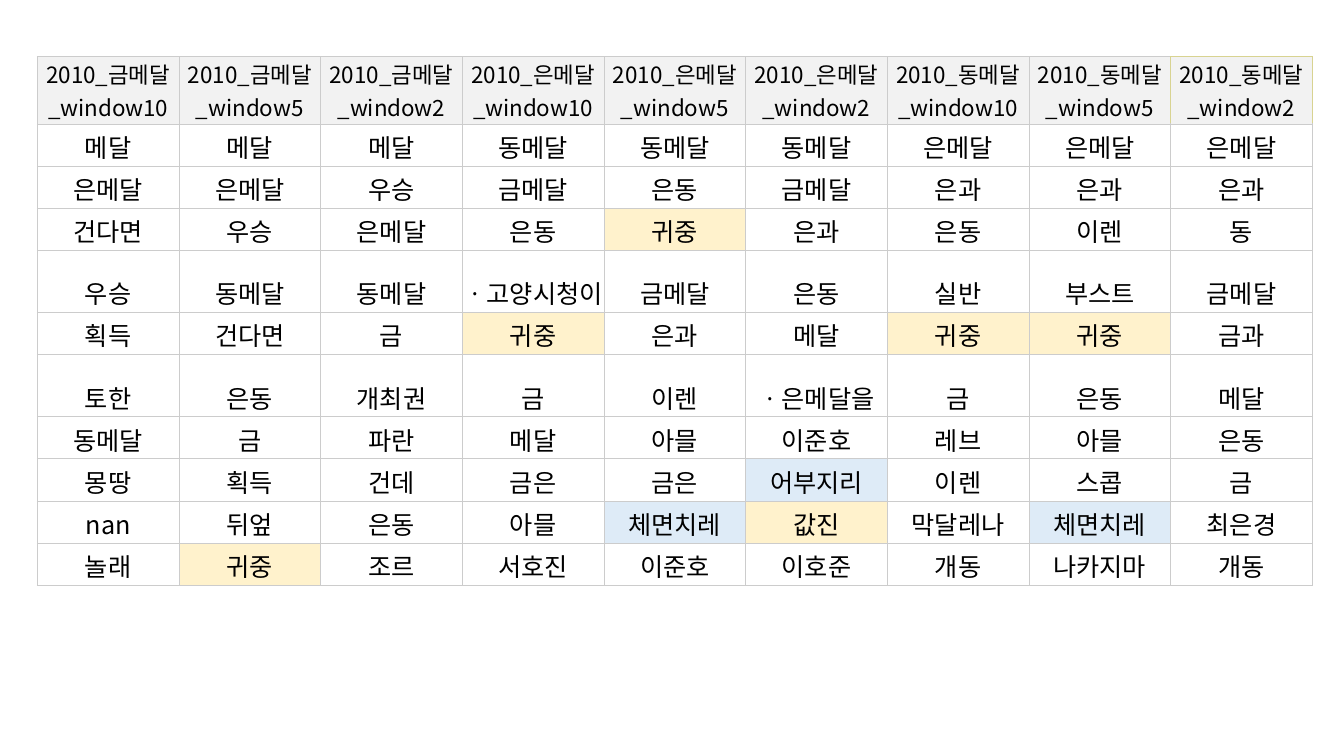
"""Build the slide comparing words related to each 2010 medal by window size."""
from dataclasses import dataclass
from itertools import product

from lxml.etree import SubElement
from pptx import Presentation
from pptx.dml.color import RGBColor
from pptx.enum.text import MSO_ANCHOR, PP_ALIGN
from pptx.oxml.ns import qn
from pptx.table import _Cell
from pptx.util import Cm, Pt

FONT = "Noto Sans CJK KR"
BLACK = RGBColor(0x00, 0x00, 0x00)
GREY = RGBColor(0xCC, 0xCC, 0xCC)
GOLD = RGBColor(0xD8, 0xD3, 0x91)
HEADER_FILL = RGBColor(0xF2, 0xF2, 0xF2)
CREAM = RGBColor(0xFF, 0xF2, 0xCC)
PALE_BLUE = RGBColor(0xDE, 0xEB, 0xF7)

MEDALS = ("금메달", "은메달", "동메달")
WINDOWS = (10, 5, 2)
HIGHLIGHTS = {"귀중": CREAM, "값진": CREAM, "어부지리": PALE_BLUE, "체면치레": PALE_BLUE}
RELATED_WORDS = (
    "메달 메달 메달 동메달 동메달 동메달 은메달 은메달 은메달",
    "은메달 은메달 우승 금메달 은동 금메달 은과 은과 은과",
    "건다면 우승 은메달 은동 귀중 은과 은동 이렌 동",
    "우승 동메달 동메달 ㆍ고양시청이 금메달 은동 실반 부스트 금메달",
    "획득 건다면 금 귀중 은과 메달 귀중 귀중 금과",
    "토한 은동 개최권 금 이렌 ㆍ은메달을 금 은동 메달",
    "동메달 금 파란 메달 아믈 이준호 레브 아믈 은동",
    "몽땅 획득 건데 금은 금은 어부지리 이렌 스콥 금",
    "nan 뒤엎 은동 아믈 체면치레 값진 막달레나 체면치레 최은경",
    "놀래 귀중 조르 서호진 이준호 이호준 개동 나카지마 개동",
)
HEADER_HEIGHT, WORD_HEIGHT, TALL_HEIGHT = Cm(1.7), Cm(1.06), Cm(1.57)
COLUMN_WIDTH = Cm(3.57)
INSET = Cm(0.03)


@dataclass(frozen=True)
class Entry:
    """Content and look of one table cell."""
    text: str
    size: int = 18
    fill: RGBColor | None = None
    left: RGBColor = GREY
    right: RGBColor = GREY
    top: RGBColor = GREY
    bottom: RGBColor = GREY


def write(cell: _Cell, text: str, *, size: int, color: RGBColor = BLACK,
          align: PP_ALIGN = PP_ALIGN.CENTER) -> None:
    """Write formatted text into a cell."""
    paragraph = cell.text_frame.paragraphs[0]
    paragraph.alignment = align
    run = paragraph.add_run()
    run.text = text
    run.font.size = Pt(size)
    run.font.color.rgb = color
    run.font.name = FONT
    SubElement(run._r.get_or_add_rPr(), qn("a:ea"), typeface=FONT)


def draw_borders(cell: _Cell, entry: Entry) -> None:
    """Draw the four cell edges ahead of the cell fill."""
    properties = cell._tc.get_or_add_tcPr()
    edges = {"a:lnL": entry.left, "a:lnR": entry.right, "a:lnT": entry.top, "a:lnB": entry.bottom}
    for position, (tag, color) in enumerate(edges.items()):
        edge = SubElement(properties, qn(tag), w=str(Pt(0.5)))
        SubElement(SubElement(edge, qn("a:solidFill")), qn("a:srgbClr"), val=str(color))
        properties.insert(position, edge)


def draw_entry(cell: _Cell, entry: Entry) -> None:
    """Draw one entry in its cell."""
    cell.margin_left = cell.margin_right = cell.margin_top = cell.margin_bottom = INSET
    cell.vertical_anchor = MSO_ANCHOR.BOTTOM
    if entry.fill is None:
        cell.fill.background()
    else:
        cell.fill.solid()
        cell.fill.fore_color.rgb = entry.fill
    draw_borders(cell, entry)
    write(cell, entry.text, size=entry.size)


def header_entry(medal: str, window: int) -> Entry:
    """Describe a heading, with gold edges around the last one."""
    last = (medal, window) == (MEDALS[-1], WINDOWS[-1])
    before_last = (medal, window) == (MEDALS[-1], WINDOWS[-2])
    return Entry(
        f"2010_{medal}_window{window}", size=16, fill=HEADER_FILL,
        left=GOLD if last else GREY,
        right=GOLD if last or before_last else GREY,
        top=GOLD if last else GREY,
    )


def main() -> None:
    """Build and save the presentation."""
    presentation = Presentation()
    presentation.slide_width, presentation.slide_height = Cm(33.87), Cm(19.05)
    slide = presentation.slides.add_slide(presentation.slide_layouts[6])

    entries = [[header_entry(medal, window) for medal, window in product(MEDALS, WINDOWS)]]
    entries += [[Entry(word, fill=HIGHLIGHTS.get(word)) for word in words.split()]
                for words in RELATED_WORDS]
    heights = [HEADER_HEIGHT] + [TALL_HEIGHT if "ㆍ" in words else WORD_HEIGHT
                                 for words in RELATED_WORDS]
    column_count = len(entries[0])
    comparison = slide.shapes.add_table(
        len(entries), column_count, Cm(0.94), Cm(1.42), COLUMN_WIDTH * column_count, sum(heights)
    ).table
    comparison.first_row = comparison.horz_banding = False
    for column in comparison.columns:
        column.width = COLUMN_WIDTH
    for row, height, row_entries in zip(comparison.rows, heights, entries):
        row.height = height
        for cell, entry in zip(row.cells, row_entries):
            draw_entry(cell, entry)

    presentation.save("out.pptx")


main()
